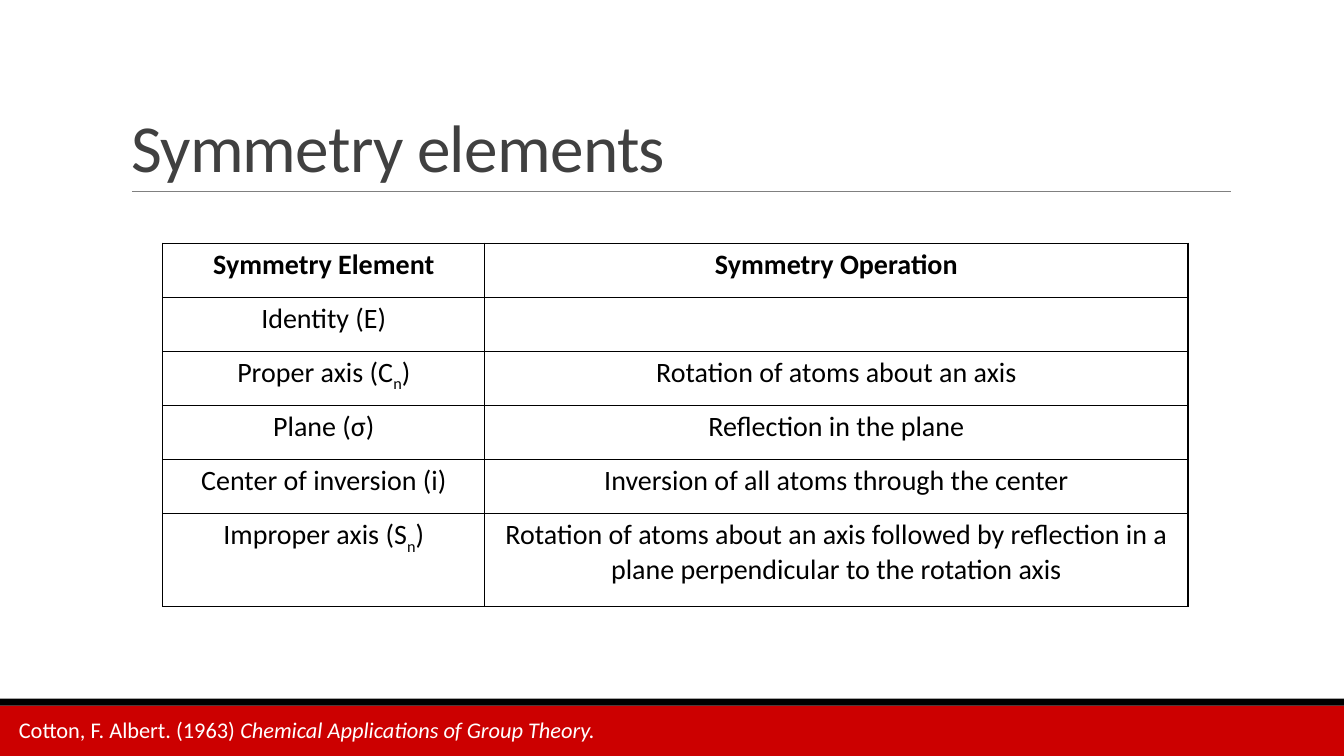
from lxml.etree import SubElement
from pptx import Presentation
from pptx.dml.color import RGBColor
from pptx.enum.shapes import MSO_CONNECTOR, MSO_SHAPE
from pptx.enum.text import MSO_ANCHOR, MSO_AUTO_SIZE, PP_ALIGN
from pptx.oxml.ns import qn
from pptx.util import Pt

TITLE = "Symmetry elements"
CITATION = [("Cotton, F. Albert. (1963) ", False), ("Chemical Applications of Group Theory.", True)]
ROWS = [
    (["Symmetry Element"], "Symmetry Operation"),
    (["Identity (E)"], ""),
    (["Proper axis (C", "n", ")"], "Rotation of atoms about an axis"),
    (["Plane (σ)"], "Reflection in the plane"),
    (["Center of inversion (i)"], "Inversion of all atoms through the center"),
    (["Improper axis (S", "n", ")"],
     "Rotation of atoms about an axis followed by reflection in a plane "
     "perpendicular to the rotation axis"),
]
BANDS = [(504, 36, "CC0000"), (499, 5, "000000")]
SLIDE_WIDTH, SLIDE_HEIGHT = 960, 540
TABLE_LEFT, TABLE_TOP = 116.3, 173.7
COLUMN_WIDTHS = [230, 502.3]
ROW_HEIGHTS = [38.6] * 5 + [66.8]


def color(value):
    return RGBColor.from_string(value)


def add_text(para, text, size, fill, bold=False, italic=False, baseline=0, spacing=0):
    span = para.add_run()
    span.text = text
    font = span.font
    font.name, font.size = "Calibri", Pt(size)
    font.bold, font.italic = bold, italic
    font.color.rgb = color(fill)
    properties = font._element
    if baseline:
        properties.set("baseline", str(baseline))
    if spacing:
        properties.set("spc", str(spacing))


def add_borders(cell):
    properties = cell._tc.get_or_add_tcPr()
    for position, side in enumerate(("lnL", "lnR", "lnT", "lnB")):
        line = properties.makeelement(qn(f"a:{side}"), {"w": str(Pt(1))})
        fill = SubElement(line, qn("a:solidFill"))
        SubElement(fill, qn("a:srgbClr"), val="000000")
        properties.insert(position, line)


def add_bands(page):
    for top, height, fill in BANDS:
        band = page.shapes.add_shape(MSO_SHAPE.RECTANGLE, 0, Pt(top), Pt(SLIDE_WIDTH), Pt(height))
        band.shadow.inherit = False
        band.fill.solid()
        band.fill.fore_color.rgb = color(fill)
        band.line.fill.background()


def add_title(page):
    rule = page.shapes.add_connector(MSO_CONNECTOR.STRAIGHT, Pt(94.3), Pt(136.8), Pt(879), Pt(136.8))
    rule.line.color.rgb = color("808080")
    rule.line.width = Pt(0.5)
    SubElement(rule._element.spPr, qn("a:effectLst"))
    title = page.shapes.title
    title.left, title.top, title.width, title.height = Pt(86.4), Pt(22.4), Pt(792), Pt(114.4)
    frame = title.text_frame
    frame.auto_size = MSO_AUTO_SIZE.NONE
    frame.vertical_anchor = MSO_ANCHOR.BOTTOM
    para = frame.paragraphs[0]
    para.alignment = PP_ALIGN.LEFT
    para.line_spacing = 0.85
    add_text(para, TITLE, 48, "404040", spacing=-50)


def add_citation(page):
    box = page.shapes.add_textbox(Pt(6.4), Pt(507.8), Pt(710.6), Pt(26.6))
    box.text_frame.word_wrap = True
    para = box.text_frame.paragraphs[0]
    for text, italic in CITATION:
        add_text(para, text, 16, "FFFFFF", italic=italic)


def add_symmetry_table(page):
    frame = page.shapes.add_table(
        len(ROWS), len(COLUMN_WIDTHS), Pt(TABLE_LEFT), Pt(TABLE_TOP),
        Pt(sum(COLUMN_WIDTHS)), Pt(sum(ROW_HEIGHTS)))
    table = frame.table
    table.horz_banding = False
    for column, width in zip(table.columns, COLUMN_WIDTHS):
        column.width = Pt(width)
    for row, height in zip(table.rows, ROW_HEIGHTS):
        row.height = Pt(height)
    for row_index, (element, operation) in enumerate(ROWS):
        for column_index, parts in enumerate((element, [operation])):
            cell = table.cell(row_index, column_index)
            cell.fill.background()
            add_borders(cell)
            para = cell.text_frame.paragraphs[0]
            para.alignment = PP_ALIGN.CENTER
            for part_index, text in enumerate(parts):
                if text:
                    add_text(para, text, 20, "000000", bold=row_index == 0,
                             baseline=-25000 if part_index == 1 else 0)


def main():
    deck = Presentation()
    deck.slide_width, deck.slide_height = Pt(SLIDE_WIDTH), Pt(SLIDE_HEIGHT)
    page = deck.slides.add_slide(deck.slide_layouts[5])
    add_bands(page)
    add_title(page)
    add_citation(page)
    add_symmetry_table(page)
    deck.save("out.pptx")


if __name__ == "__main__":
    main()
